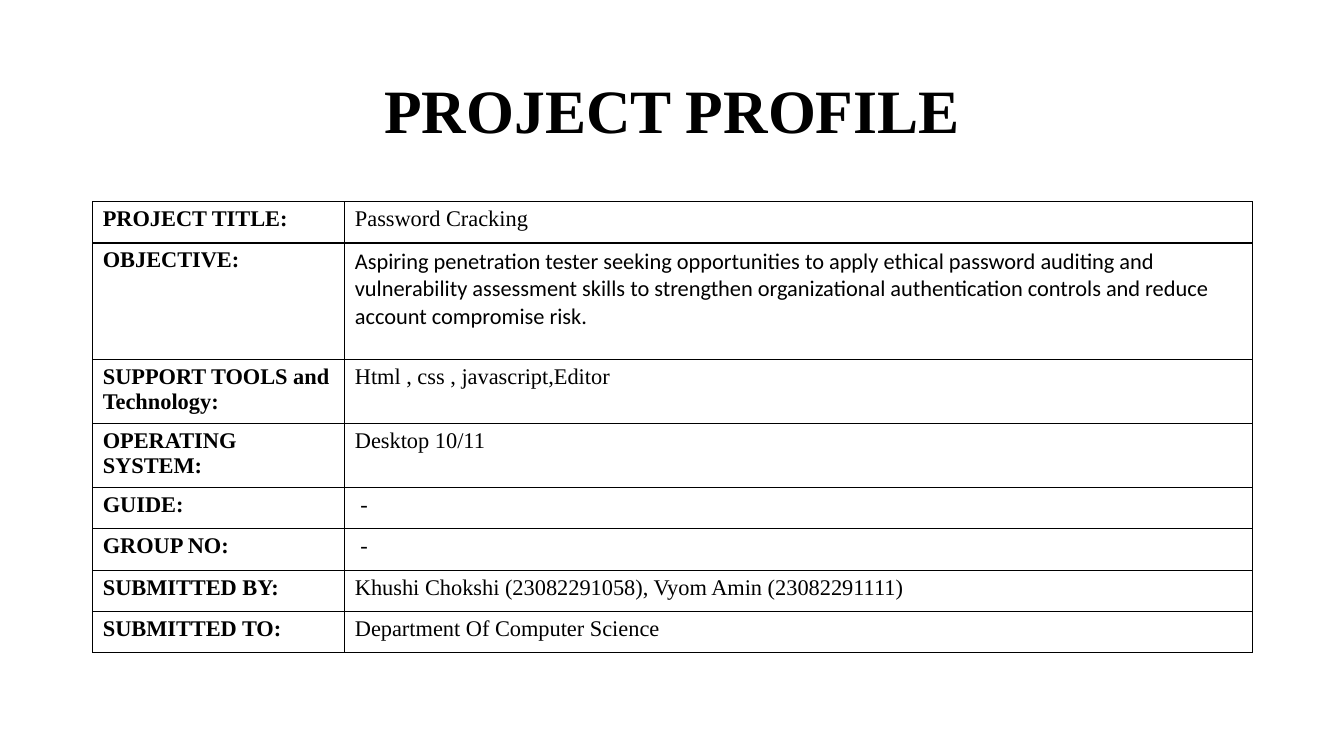
from lxml.etree import SubElement
from pptx import Presentation
from pptx.dml.color import RGBColor
from pptx.enum.text import MSO_ANCHOR, PP_ALIGN
from pptx.oxml.ns import qn
from pptx.util import Inches, Pt

TITLE = "PROJECT PROFILE"
ROWS = [
    ("PROJECT TITLE:", "Password Cracking", 0.41),
    ("OBJECTIVE:", "Aspiring penetration tester seeking opportunities to apply ethical "
     "password auditing and vulnerability assessment skills to strengthen organizational "
     "authentication controls and reduce account compromise risk.", 1.16),
    ("SUPPORT TOOLS and Technology:", "Html , css , javascript,Editor", 0.59),
    ("OPERATING SYSTEM:", "Desktop 10/11", 0.59),
    ("GUIDE:", " -", 0.41),
    ("GROUP NO:", " -", 0.41),
    ("SUBMITTED BY:", "Khushi Chokshi (23082291058), Vyom Amin (23082291111)", 0.41),
    ("SUBMITTED TO:", "Department Of Computer Science", 0.41),
]
COL_WIDTHS = (2.5, 9)
COLORS = {"text": "000000", "border": "000000"}
SERIF, SANS = "Times New Roman", "Calibri"
LEFT, WIDTH = 0.92, sum(COL_WIDTHS)


def style(p, size, bold, name=SERIF):
    for r in p.runs:
        r.font.size = Pt(size)
        r.font.bold = bold
        r.font.name = name
        r.font.color.rgb = RGBColor.from_string(COLORS["text"])


def add_borders(cell):
    tcPr = cell._tc.get_or_add_tcPr()
    for i, side in enumerate(("lnL", "lnR", "lnT", "lnB")):
        ln = SubElement(tcPr, qn(f"a:{side}"), w=str(Pt(1)))
        fill = SubElement(ln, qn("a:solidFill"))
        SubElement(fill, qn("a:srgbClr"), val=COLORS["border"])
        tcPr.insert(i, ln)


def main():
    prs = Presentation()
    prs.slide_width, prs.slide_height = Inches(13.33), Inches(7.5)
    s = prs.slides.add_slide(prs.slide_layouts[6])

    tf = s.shapes.add_textbox(Inches(LEFT), Inches(0.4), Inches(WIDTH), Inches(1.45)).text_frame
    tf.word_wrap = True
    tf.vertical_anchor = MSO_ANCHOR.MIDDLE
    p = tf.paragraphs[0]
    p.text = TITLE
    p.alignment = PP_ALIGN.CENTER
    p.line_spacing = 0.9
    style(p, 44, True)

    height = sum(row[2] for row in ROWS)
    table = s.shapes.add_table(len(ROWS), len(COL_WIDTHS), Inches(LEFT), Inches(2),
                               Inches(WIDTH), Inches(height)).table
    table.first_row = table.horz_banding = False
    for col, width in zip(table.columns, COL_WIDTHS):
        col.width = Inches(width)
    for i, (label, value, row_height) in enumerate(ROWS):
        table.rows[i].height = Inches(row_height)
        for j, text in enumerate((label, value)):
            cell = table.cell(i, j)
            cell.fill.background()
            add_borders(cell)
            p = cell.text_frame.paragraphs[0]
            p.text = text
            style(p, 16, j == 0, SANS if j and label == "OBJECTIVE:" else SERIF)

    prs.save("out.pptx")


if __name__ == "__main__":
    main()
